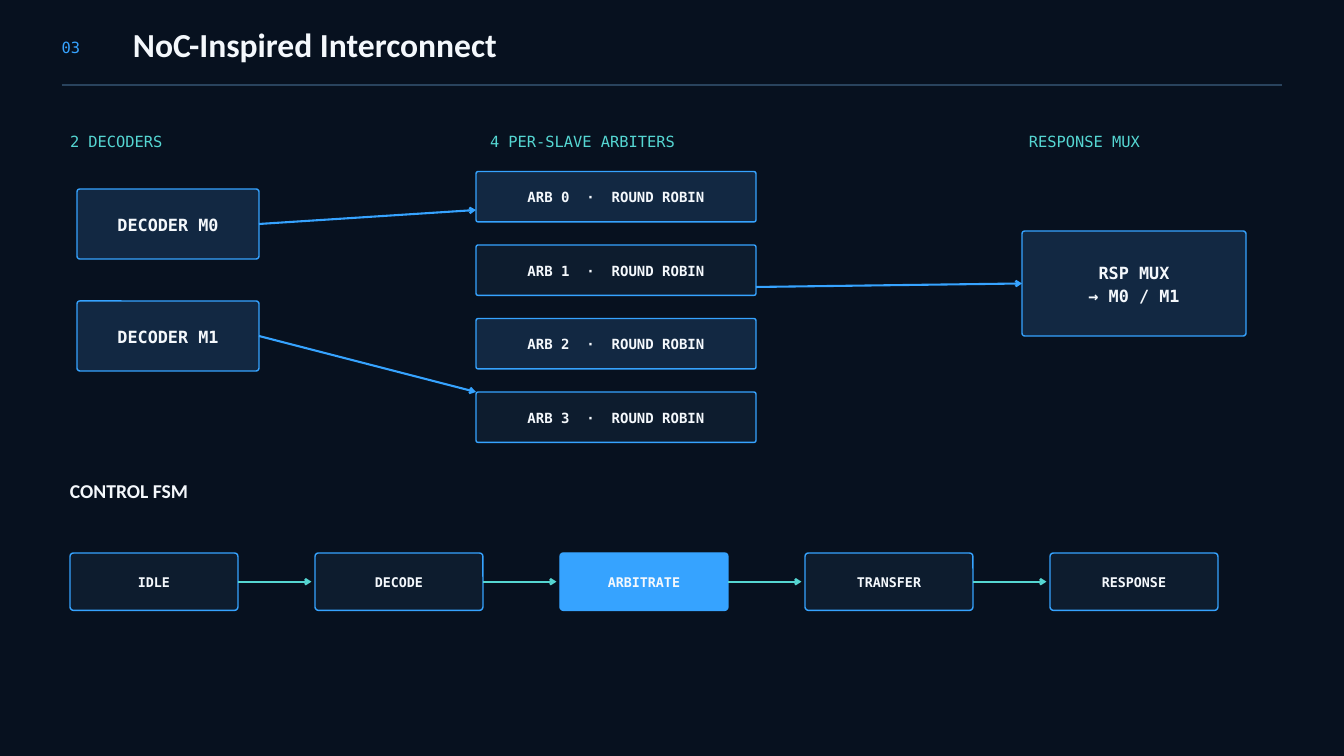
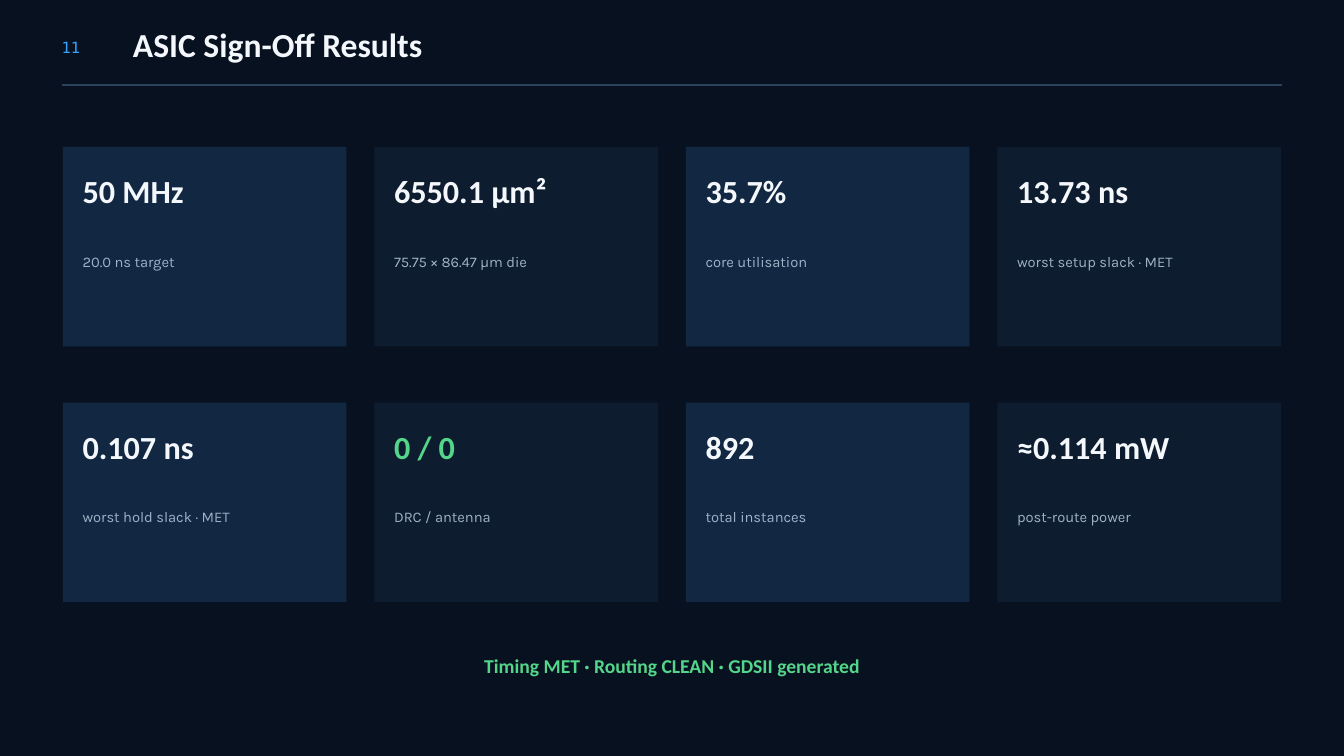
"""Builds the interconnect and sign-off slides of the chip deck."""
from dataclasses import dataclass

from lxml.etree import SubElement
from pptx import Presentation
from pptx.dml.color import RGBColor
from pptx.enum.shapes import MSO_CONNECTOR, MSO_SHAPE
from pptx.enum.text import MSO_ANCHOR, MSO_AUTO_SIZE, PP_ALIGN
from pptx.oxml.ns import qn
from pptx.util import Emu, Pt


@dataclass(frozen=True)
class TextStyle:
    font: str
    size: float
    leading: float
    bold: bool = False


@dataclass(frozen=True)
class Theme:
    background: str = "07111F"
    panel: str = "122842"
    panel_dark: str = "0D1C2E"
    rule: str = "29435D"
    blue: str = "36A3FF"
    teal: str = "55D6D2"
    green: str = "54D68A"
    white: str = "F4F8FC"
    muted: str = "9EB2C8"
    title: TextStyle = TextStyle("Calibri", 36, 38.9, True)
    heading: TextStyle = TextStyle("Calibri", 21, 24.1, True)
    metric: TextStyle = TextStyle("Calibri", 34.5, 34.5, True)
    caption: TextStyle = TextStyle("Karla", 15.75, 21.3)
    label: TextStyle = TextStyle("DejaVu Sans Mono", 16.5, 20.6)
    block: TextStyle = TextStyle("DejaVu Sans Mono", 18, 25.2, True)
    arbiter: TextStyle = TextStyle("DejaVu Sans Mono", 15, 21, True)
    state: TextStyle = TextStyle("DejaVu Sans Mono", 14.25, 19.9, True)


THEME = Theme()
PX = 9525

COLUMN_HEADINGS = [
    ("2 DECODERS", 100, 360),
    ("4 PER-SLAVE ARBITERS", 700, 500),
    ("RESPONSE MUX", 1470, 340),
]
DECODERS = ["DECODER M0", "DECODER M1"]
ARBITERS = [f"ARB {number}  ·  ROUND ROBIN" for number in range(4)]
RESPONSE_MUX = "RSP MUX\n→ M0 / M1"
STATES = ["IDLE", "DECODE", "ARBITRATE", "TRANSFER", "RESPONSE"]
ACTIVE_STATE = "ARBITRATE"

METRICS = [
    ("50 MHz", "20.0 ns target"),
    ("6550.1 µm²", "75.75 × 86.47 µm die"),
    ("35.7%", "core utilisation"),
    ("13.73 ns", "worst setup slack · MET"),
    ("0.107 ns", "worst hold slack · MET"),
    ("0 / 0", "DRC / antenna"),
    ("892", "total instances"),
    ("≈0.114 mW", "post-route power"),
]
CLEAN_METRIC = "0 / 0"
VERDICT = "Timing MET · Routing CLEAN · GDSII generated"


def px(*lengths):
    return [Emu(round(length * PX)) for length in lengths]


def rgb(color):
    return RGBColor.from_string(color)


def write(box, text, style, color, align=PP_ALIGN.LEFT, anchor=MSO_ANCHOR.TOP, insets=(0, 0, 0, 0)):
    frame = box.text_frame
    frame.text = text
    frame.word_wrap = True
    frame.auto_size = MSO_AUTO_SIZE.NONE
    frame.vertical_anchor = anchor
    frame.margin_left, frame.margin_top, frame.margin_right, frame.margin_bottom = px(*insets)
    for para in frame.paragraphs:
        para.alignment = align
        para.line_spacing = Pt(style.leading)
        para.space_before = Pt(0)
        for span in para.runs:
            span.font.name = style.font
            span.font.size = Pt(style.size)
            span.font.bold = style.bold
            span.font.color.rgb = rgb(color)


def add_text(page, area, text, style, color, align=PP_ALIGN.LEFT):
    write(page.shapes.add_textbox(*px(*area)), text, style, color, align)


def add_panel(page, kind, area, fill):
    panel = page.shapes.add_shape(kind, *px(*area))
    panel.shadow.inherit = False
    panel.fill.solid()
    panel.fill.fore_color.rgb = rgb(fill)
    panel.line.fill.background()
    return panel


def add_block(page, area, text, style, fill, radius):
    block = add_panel(page, MSO_SHAPE.ROUNDED_RECTANGLE, area, fill)
    block.adjustments[0] = radius / min(area[2:])
    block.line.color.rgb = rgb(THEME.blue)
    block.line.width = Pt(1.5)
    write(block, text, style, THEME.white, PP_ALIGN.CENTER, MSO_ANCHOR.MIDDLE, (6, 6, 6, 9))
    return block


def add_line(page, start, end, color, width):
    line = page.shapes.add_connector(MSO_CONNECTOR.STRAIGHT, *px(*start, *end))
    line.line.color.rgb = rgb(color)
    line.line.width = Pt(width)
    SubElement(line._element.spPr, qn("a:effectLst"))
    return line


def add_arrow(page, start, end, color, source=None, target=None):
    arrow = add_line(page, start, end, color, 2.25)
    SubElement(arrow.line._get_or_add_ln(), qn("a:tailEnd"), type="arrow")
    if source is not None:
        arrow.begin_connect(source, 3)
    if target is not None:
        arrow.end_connect(target, 1)


def add_page(deck, number, title):
    page = deck.slides.add_slide(deck.slide_layouts.get_by_name("Title Only"))
    add_text(page, (88, 53, 90, 27), number, THEME.label, THEME.blue)
    heading = page.shapes.title
    heading.left, heading.top, heading.width, heading.height = px(190, 40, 1500, 59)
    write(heading, title, THEME.title, THEME.white)
    add_line(page, (88, 122), (1832, 122), THEME.rule, 2)
    return page


def add_state_machine(page):
    left, top, width, height, pitch = 100, 790, 240, 82, 350
    middle = top + height / 2
    for index, state in enumerate(STATES):
        x = left + index * pitch
        fill = THEME.blue if state == ACTIVE_STATE else THEME.panel_dark
        block = add_block(page, (x, top, width, height), state, THEME.state, fill, 5)
        if index < len(STATES) - 1:
            add_arrow(page, (x + width, middle), (x + pitch - 5, middle), THEME.teal, block)


def build_interconnect(deck):
    page = add_page(deck, "03", "NoC-Inspired Interconnect")
    for text, x, width in COLUMN_HEADINGS:
        add_text(page, (x, 187, width, 27), text, THEME.label, THEME.teal)
    add_text(page, (100, 686, 300, 37), "CONTROL FSM", THEME.heading, THEME.white)

    decoders = [
        add_block(page, (110, 270 + row * 160, 260, 100), name, THEME.block, THEME.panel, 4)
        for row, name in enumerate(DECODERS)
    ]
    for row, name in enumerate(ARBITERS):
        fill = (THEME.panel, THEME.panel_dark)[row % 2]
        add_block(page, (680, 245 + row * 105, 400, 72), name, THEME.arbiter, fill, 3)
    mux = add_block(page, (1460, 330, 320, 150), RESPONSE_MUX, THEME.block, THEME.panel, 4)

    add_arrow(page, (370, 320), (680, 300), THEME.blue, source=decoders[0])
    add_arrow(page, (370, 480), (680, 560), THEME.blue, source=decoders[1])
    add_arrow(page, (1080, 410), (1460, 405), THEME.blue, target=mux)
    add_state_machine(page)


def build_results(deck):
    page = add_page(deck, "11", "ASIC Sign-Off Results")
    columns = 4
    for index, (value, caption) in enumerate(METRICS):
        row, column = divmod(index, columns)
        x, y = 90 + column * 445, 210 + row * 365
        fill = (THEME.panel, THEME.panel_dark)[column % 2]
        color = THEME.green if value == CLEAN_METRIC else THEME.white
        add_panel(page, MSO_SHAPE.RECTANGLE, (x, y, 405, 285), fill)
        add_text(page, (x + 28, y + 44, 340, 56), value, THEME.metric, color)
        add_text(page, (x + 28, y + 148, 340, 26), caption, THEME.caption, THEME.muted)
    add_text(page, (490, 936, 940, 37), VERDICT, THEME.heading, THEME.green, PP_ALIGN.CENTER)


def main():
    deck = Presentation()
    deck.slide_width, deck.slide_height = px(1920, 1080)
    backdrop = deck.slide_master.background.fill
    backdrop.solid()
    backdrop.fore_color.rgb = rgb(THEME.background)
    build_interconnect(deck)
    build_results(deck)
    deck.save("out.pptx")


if __name__ == "__main__":
    main()
